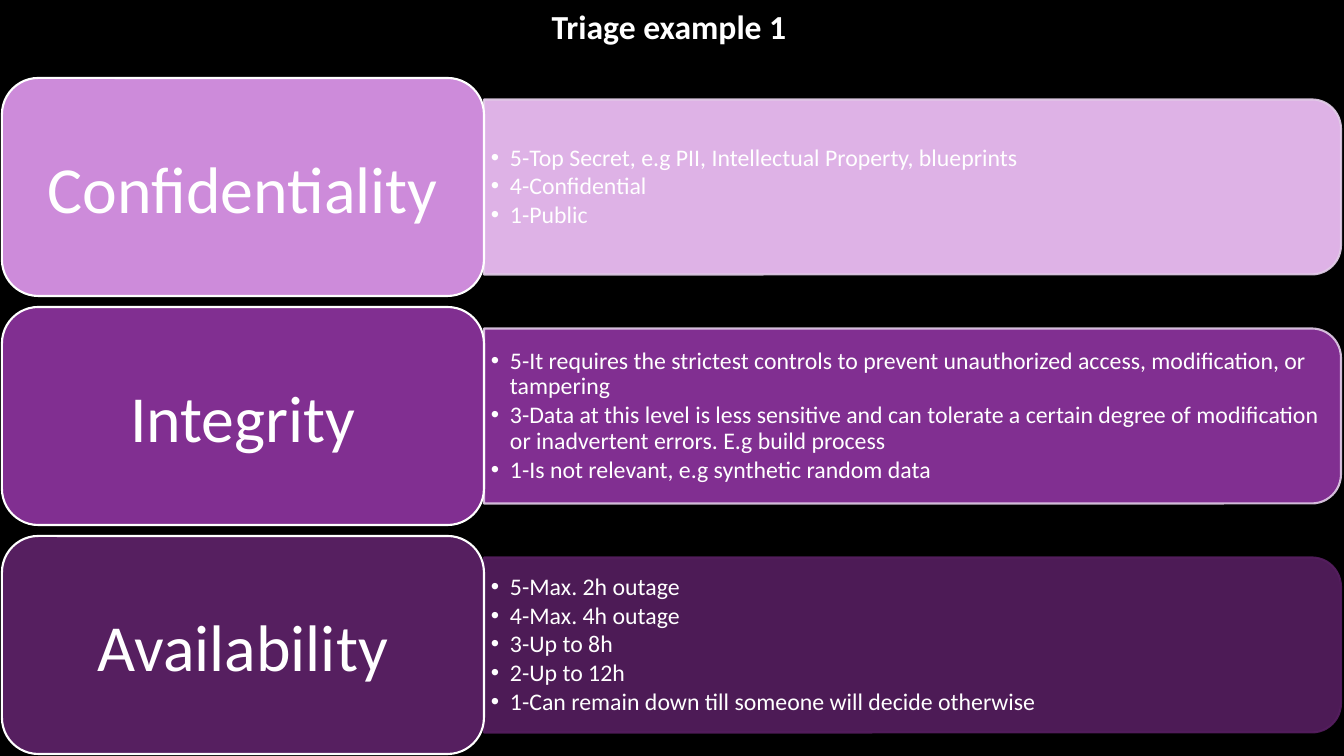
"""Build the triage slide: three rated security goals, each with its scale."""
from lxml.etree import SubElement
from pptx import Presentation
from pptx.dml.color import RGBColor
from pptx.enum.shapes import MSO_SHAPE as Shape
from pptx.enum.text import MSO_ANCHOR as Anchor, MSO_AUTO_SIZE as AutoSize, PP_ALIGN as Align
from pptx.oxml.ns import qn
from pptx.util import Emu, Pt

TITLE = "Triage example 1"
GOALS = [
    {"name": "Confidentiality", "label": "CD8BDA", "panel": "DEB2E6", "edge": "E3CEE9", "opacity": 100,
     "levels": ["5-Top Secret, e.g PII, Intellectual Property, blueprints",
                "4-Confidential",
                "1-Public"]},
    {"name": "Integrity", "label": "812F91", "panel": "812F91", "edge": "E3CEE9", "opacity": 100,
     "levels": ["5-It requires the strictest controls to prevent unauthorized access, modification, or tampering",
                "3-Data at this level is less sensitive and can tolerate a certain degree of modification "
                "or inadvertent errors. E.g build process",
                "1-Is not relevant, e.g synthetic random data"]},
    {"name": "Availability", "label": "561F60", "panel": "561F60", "edge": "561F60", "opacity": 90,
     "levels": ["5-Max. 2h outage",
                "4-Max. 4h outage",
                "3-Up to 8h",
                "2-Up to 12h",
                "1-Can remain down till someone will decide otherwise"]},
]
FONT, WHITE, BLACK = "Calibri", "FFFFFF", "000000"
EDGE_OPACITY = 90
WIDTH, HEIGHT = 1344, 756
ROW_TOP, ROW_STEP = 78, 229
LABEL_LEFT, LABEL_WIDTH, LABEL_HEIGHT = 2, 482, 218
PANEL_WIDTH, PANEL_HEIGHT = 857, 175
LIST_WIDTH, LIST_HEIGHT = 849, 157
INDENT = 19


def px(length):
    return Emu(round(length * 914400 / 100.8))


def color(code):
    return RGBColor.from_string(code)


def place(box, left, top, width, height):
    box.left, box.top, box.width, box.height = map(px, (left, top, width, height))


def style(para, size, align, bold=False):
    para.alignment = align
    para.font.name, para.font.size, para.font.bold = FONT, Pt(size), bold
    para.font.color.rgb = color(WHITE)


def set_frame(box, side, edge):
    frame = box.text_frame
    frame.word_wrap, frame.auto_size = True, AutoSize.NONE
    frame.vertical_anchor = Anchor.MIDDLE
    frame.margin_left = frame.margin_right = px(side)
    frame.margin_top = frame.margin_bottom = px(edge)
    return frame


def add_block(page, kind, bounds, fill, edge):
    block = page.shapes.add_shape(kind, *map(px, bounds))
    block.shadow.inherit = False
    block.fill.solid()
    block.fill.fore_color.rgb = color(fill)
    block.line.color.rgb = color(edge)
    block.line.width = Pt(1.5)
    return block


def add_panel(page, goal, left, middle):
    bounds = (left + (PANEL_WIDTH - PANEL_HEIGHT) / 2, middle - PANEL_WIDTH / 2, PANEL_HEIGHT, PANEL_WIDTH)
    panel = add_block(page, Shape.ROUND_2_SAME_RECTANGLE, bounds, goal["panel"], goal["edge"])
    panel.rotation = 90
    tints = panel.element.spPr.iter(qn("a:srgbClr"))
    for tint, opacity in zip(list(tints), (goal["opacity"], EDGE_OPACITY)):
        SubElement(tint, qn("a:alpha")).set("val", str(opacity * 1000))
    return panel


def fill_list(box, levels):
    frame = set_frame(box, 7, 4)
    frame.text = "\n".join(levels)
    for para in frame.paragraphs:
        para.line_spacing, para.space_before, para.space_after = 0.9, Pt(0), px(3)
        props = para._p.get_or_add_pPr()
        props.set("marL", str(px(INDENT)))
        props.set("indent", str(-px(INDENT)))
        SubElement(props, qn("a:buFont")).set("typeface", "Arial")
        SubElement(props, qn("a:buChar")).set("char", "•")
        style(para, 17, Align.LEFT)


def add_goal(page, goal, box, top):
    middle = top + LABEL_HEIGHT / 2
    left = LABEL_LEFT + LABEL_WIDTH
    panel = add_panel(page, goal, left, middle)
    place(box, left, middle - LIST_HEIGHT / 2, LIST_WIDTH, LIST_HEIGHT)
    fill_list(box, goal["levels"])
    panel.element.addnext(box.element)
    label = add_block(page, Shape.ROUNDED_RECTANGLE, (LABEL_LEFT, top, LABEL_WIDTH, LABEL_HEIGHT),
                      goal["label"], WHITE)
    frame = set_frame(label, 20, 10)
    frame.text = goal["name"]
    style(frame.paragraphs[0], 47, Align.CENTER)


def main():
    deck = Presentation()
    deck.slide_width, deck.slide_height = px(WIDTH), px(HEIGHT)
    page = deck.slides.add_slide(deck.slide_layouts.get_by_name("Comparison"))
    page.background.fill.solid()
    page.background.fill.fore_color.rgb = color(BLACK)

    title, *boxes = [box for box in page.placeholders if box.placeholder_format.idx < 5]
    place(title, -3, 0, WIDTH, 52)
    frame = set_frame(title, 10, 5)
    frame.text = TITLE
    style(frame.paragraphs[0], 24, Align.CENTER, bold=True)

    for row, (goal, box) in enumerate(zip(GOALS, boxes)):
        add_goal(page, goal, box, ROW_TOP + row * ROW_STEP)
    for spare in boxes[len(GOALS):]:
        spare.element.getparent().remove(spare.element)
    deck.save("out.pptx")


if __name__ == "__main__":
    main()
